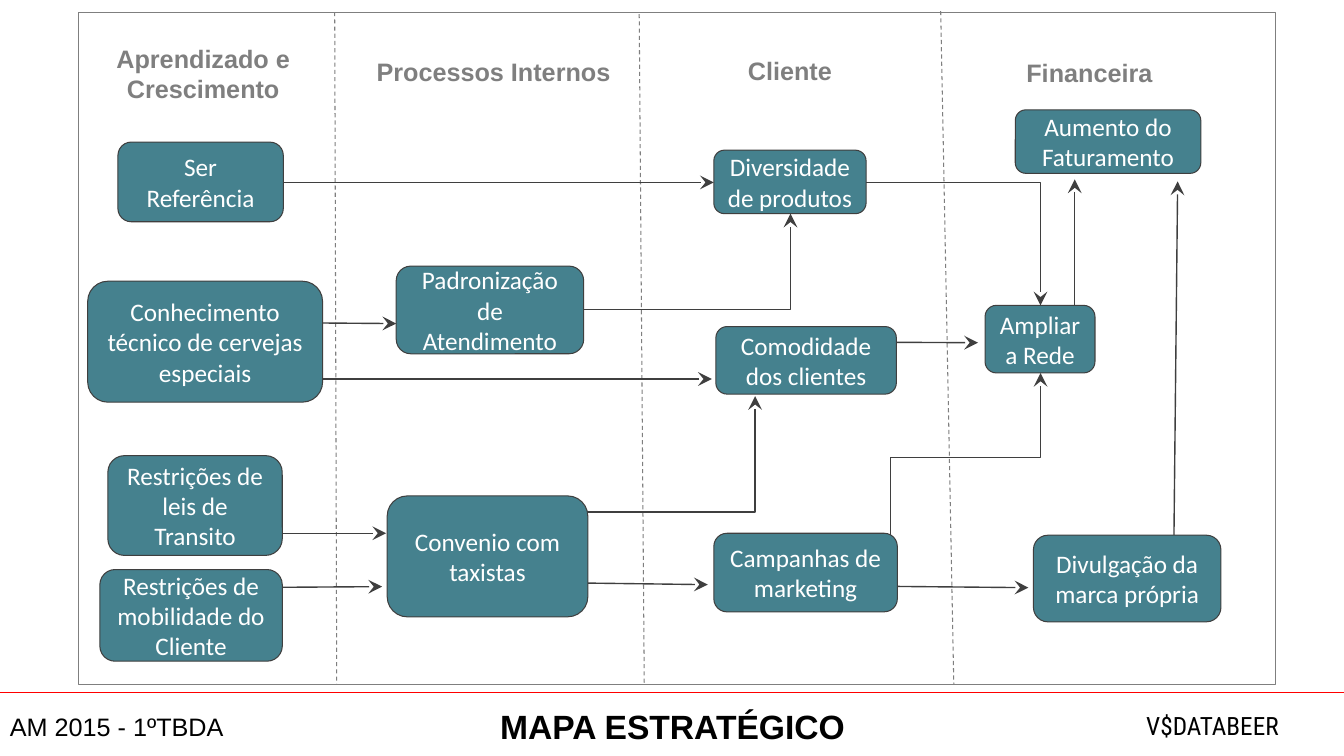
import pptx
import pptx.util
import pptx.dml.color
import pptx.enum.dml
import pptx.enum.shapes
import pptx.enum.text
import pptx.oxml
import pptx.oxml.ns

PX = 9144  # EMU; 100 px to the inch
PAGE_WIDTH, PAGE_HEIGHT = 1333, 750
TEAL, DARK, GREY, RED = "45818E", "3F3F3F", "7F7F7F", "FF0000"
BLACK, WHITE = "000000", "FFFFFF"

# Map contents, relative to the map frame
HEADINGS = [  # left, top, height, text
    (-9, 26, 66, "Aprendizado e Crescimento"),
    (279, 39, 35, "Processos Internos"),
    (573, 38, 38, "Cliente"),
    (870, 40, 38, "Financeira"),
]
DIVIDERS = [(254, 0, 256, 667), (556, 2, 561, 667), (855, -1, 868, 667)]
GOALS = [  # left, top, width, height, text
    (39, 129, 164, 79, "Ser Referência"),
    (9, 267, 233, 120, "Conhecimento técnico de cervejas especiais"),
    (29, 440, 173, 99, "Restrições de leis de Transito"),
    (21, 553, 181, 91, "Restrições de mobilidade do Cliente"),
    (315, 252, 186, 87, "Padronização de Atendimento"),
    (306, 480, 199, 120, "Convenio com taxistas"),
    (630, 137, 151, 63, "Diversidade de produtos"),
    (632, 312, 179, 67, "Comodidade dos clientes"),
    (630, 517, 182, 78, "Campanhas de marketing"),
    (929, 97, 184, 63, "Aumento do Faturamento"),
    (899, 291, 109, 67, "Ampliar a Rede"),
    (947, 519, 186, 86, "Divulgação da marca própria"),
]
STRAIGHT_ARROWS = [
    (203, 169, 630, 169),
    (184, 308, 315, 309),
    (199, 364, 628, 364),
    (199, 517, 305, 517),
    (149, 571, 301, 570),
    (469, 566, 624, 568),
    (671, 327, 892, 328),
    (729, 569, 942, 571),
    (988, 305, 988, 166),
    (1086, 555, 1090, 168),
]
CORNER_ARROWS = [  # across, then up or down
    (781, 169, 954, 291),
    (501, 295, 706, 200),
    (493, 496, 671, 381),
]
STEP_ARROW = (805, 526, 954, 358)  # up, across, up


def color(code):
    return pptx.dml.color.RGBColor.from_string(code)


def emu(*lengths):
    return [round(length * PX) for length in lengths]


def write(shape, text, size, font, code, bold=False, align="CENTER", anchor="TOP"):
    frame = shape.text_frame
    frame.word_wrap = True
    frame.auto_size = pptx.enum.text.MSO_AUTO_SIZE.NONE
    frame.vertical_anchor = getattr(pptx.enum.text.MSO_ANCHOR, anchor)
    para = frame.paragraphs[0]
    para.text = text
    para.alignment = getattr(pptx.enum.text.PP_ALIGN, align)
    para.font.size = pptx.util.Pt(size)
    para.font.name = font
    para.font.bold = bold
    para.font.color.rgb = color(code)


def add_text(page, box, text, size, font, code, **style):
    write(page.shapes.add_textbox(*emu(*box)), text, size, font, code, **style)


def add_line(page, ends, code, width, kind="STRAIGHT", dashed=False, arrow=False):
    connector_type = getattr(pptx.enum.shapes.MSO_CONNECTOR, kind)
    line = page.shapes.add_connector(connector_type, *emu(*ends))
    line.line.color.rgb = color(code)
    line.line.width = pptx.util.Pt(width)
    if dashed:
        line.line.dash_style = pptx.enum.dml.MSO_LINE.DASH
    properties = line._element.spPr
    if arrow:
        head = pptx.oxml.parse_xml(
            f'<a:tailEnd {pptx.oxml.ns.nsdecls("a")} type="stealth" w="lg" len="lg"/>')
        properties.find(pptx.oxml.ns.qn("a:ln")).append(head)
    properties.append(pptx.oxml.parse_xml(
        f'<a:effectLst {pptx.oxml.ns.nsdecls("a")}/>'))
    return line


def add_corner_arrow(page, ends):
    line = add_line(page, ends, DARK, 1, kind="ELBOW", arrow=True)
    geometry = line._element.spPr.find(pptx.oxml.ns.qn("a:prstGeom"))
    geometry.set("prst", "bentConnector2")


def add_step_arrow(page, ends):
    # An elbow turned a quarter about its centre starts and ends vertically
    x1, y1, x2, y2 = ends
    middle_x, middle_y = (x1 + x2) / 2, (y1 + y2) / 2
    half_width, half_height = abs(y2 - y1) / 2, abs(x2 - x1) / 2
    turned = (middle_x + half_width, middle_y + half_height,
              middle_x - half_width, middle_y - half_height)
    line = add_line(page, turned, DARK, 1, kind="ELBOW", arrow=True)
    line._element.spPr.find(pptx.oxml.ns.qn("a:xfrm")).set("rot", "5400000")


def add_box(page, box, preset, fill, outline):
    shape = page.shapes.add_shape(
        getattr(pptx.enum.shapes.MSO_SHAPE, preset), *emu(*box))
    shape.shadow.inherit = False
    if fill:
        shape.fill.solid()
        shape.fill.fore_color.rgb = color(fill)
    else:
        shape.fill.background()
    shape.line.color.rgb = color(outline)
    shape.line.width = pptx.util.Pt(0.75)
    return shape


def strategy_map(page, box):
    left, top = box[:2]

    def shift(ends):
        return ends[0] + left, ends[1] + top, ends[2] + left, ends[3] + top

    # Frame, dividers and column headings
    add_box(page, box, "RECTANGLE", None, GREY)
    for ends in DIVIDERS:
        add_line(page, shift(ends), GREY, 0.75, dashed=True)
    for x, y, height, text in HEADINGS:
        add_text(page, (left + x, top + y, 265, height), text, 18, "Arial", GREY,
                 bold=True)

    # Arrows, tucked under the goals
    for ends in STRAIGHT_ARROWS:
        add_line(page, shift(ends), DARK, 1, arrow=True)
    for ends in CORNER_ARROWS:
        add_corner_arrow(page, shift(ends))
    add_step_arrow(page, shift(STEP_ARROW))

    # Goals
    for x, y, width, height, text in GOALS:
        goal = add_box(page, (left + x, top + y, width, height),
                       "ROUNDED_RECTANGLE", TEAL, DARK)
        write(goal, text, 18, "Calibri", WHITE, anchor="MIDDLE")


def footer(page, box):
    left, top, width, _ = box
    add_line(page, (left, top, left + width, top), RED, 0.75)
    add_text(page, (left, top + 14, 242, 40), "AM 2015 - 1ºTBDA", 18, "Arial",
             BLACK, align="LEFT")
    title = page.shapes.title
    title.left, title.top, title.width, title.height = emu(
        left + 444, top + 8, 446, 50)
    write(title, "MAPA ESTRATÉGICO", 24, "Arial", BLACK, bold=True)
    add_text(page, (left + 1127, top + 13, 158, 40), "V$DATABEER", 18,
             "Roboto Condensed", BLACK, align="LEFT")


def main():
    deck = pptx.Presentation()
    deck.slide_width, deck.slide_height = emu(PAGE_WIDTH, PAGE_HEIGHT)
    page = deck.slides.add_slide(deck.slide_layouts[5])
    strategy_map(page, (78, 12, 1187, 667))
    footer(page, (0, 687, PAGE_WIDTH, 63))
    deck.save("out.pptx")


if __name__ == "__main__":
    main()
